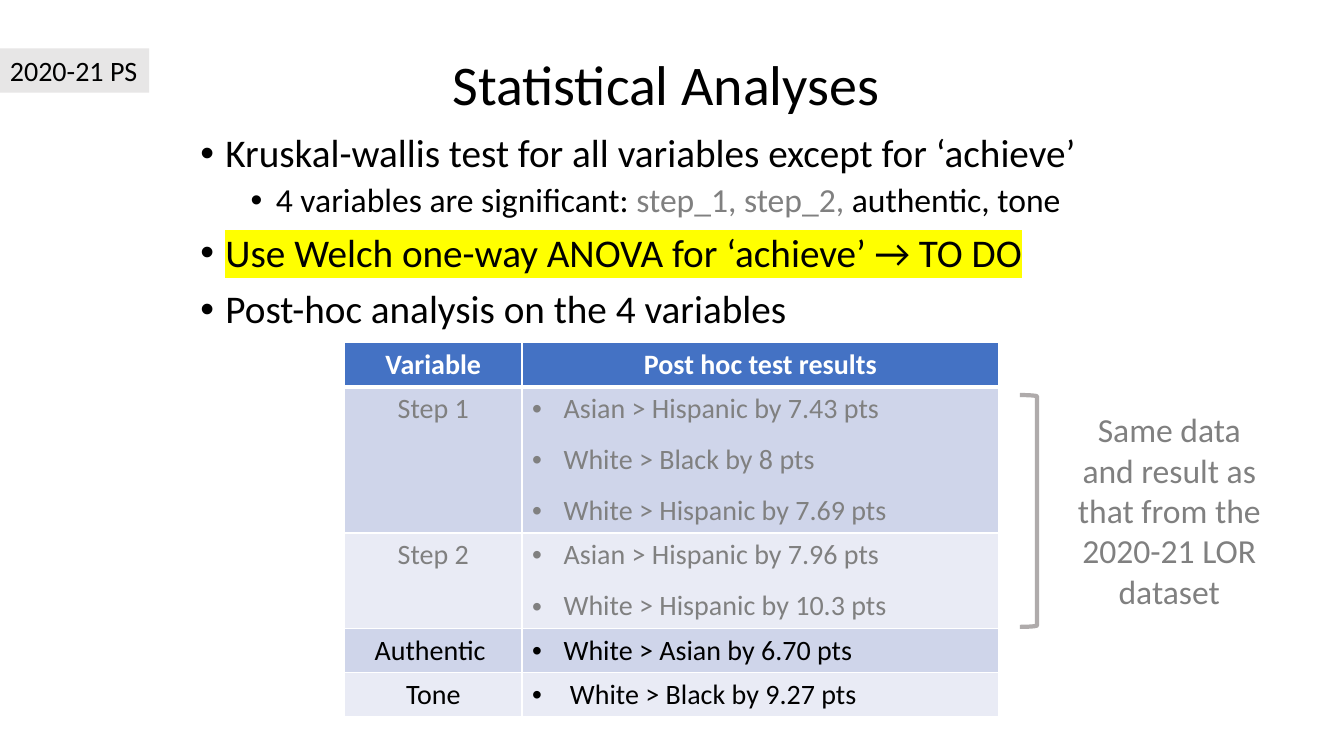
import pptx
import pptx.util
import pptx.dml.color
import pptx.enum.shapes
import pptx.enum.text
import pptx.oxml
import pptx.oxml.ns
from lxml import etree

Pt = pptx.util.Pt
qn = pptx.oxml.ns.qn
CENTER = pptx.enum.text.PP_ALIGN.CENTER
LEFT = pptx.enum.text.PP_ALIGN.LEFT

COLORS = {
    "text": "000000", "muted": "808080", "white": "FFFFFF", "mark": "FFFF00",
    "header": "4472C4", "band dark": "CFD5EA", "band light": "E9EBF5",
    "label": "E7E6E6", "bracket": "AFABAB",
}
TITLE = "Statistical Analyses "
LABEL = "2020-21 PS"
SIDE_NOTE = "Same data and result as that from the 2020-21 LOR dataset"

# level, then spans of (text, colour, highlight)
BULLETS = [
    (0, [("Kruskal-wallis test for all variables except for ‘achieve’", "text", None)]),
    (1, [("4 variables are significant: ", "text", None),
         ("step_1, step_2,", "muted", None),
         (" authentic, tone", "text", None)]),
    (0, [("Use Welch one-way ANOVA for ‘achieve’ → TO DO", "text", "mark")]),
    (0, [("Post-hoc analysis on the 4 variables", "text", None)]),
]
LEVELS = [  # size, left margin, space before
    (28, 18, 10),
    (24, 54, 5),
]
HEADER = ("Variable", "Post hoc test results")
# variable, results, colour, bullet indent, paragraph gap
RESULTS = [
    ("Step 1", ["Asian > Hispanic by 7.43 pts", "White > Black by 8 pts",
                "White > Hispanic by 7.69 pts"], "muted", 22.5, 6),
    ("Step 2", ["Asian > Hispanic by 7.96 pts", "White > Hispanic by 10.3 pts"],
     "muted", 22.5, 6),
    ("Authentic ", ["White > Asian by 6.70 pts"], "text", 22.5, 0),
    ("Tone", ["White > Black by 9.27 pts"], "text", 27, 0),
]
COLUMN_WIDTHS = (126.7, 340.6)
LINE_ROW = 31.6      # height of a row with one line
EXTRA_LINE = 36.4    # each further line with its gaps


def rgb(name):
    return pptx.dml.color.RGBColor.from_string(COLORS[name])


def box_at(left, top, width, height):
    return [Pt(value) for value in (left, top, width, height)]


def format_para(para, **values):
    for name, value in values.items():
        setattr(para, name, value)


def add_span(para, text, size, color="text", bold=False, highlight=None):
    span = para.add_run()
    span.text = text
    for name, value in {"size": Pt(size), "bold": bold, "name": "Calibri"}.items():
        setattr(span.font, name, value)
    span.font.color.rgb = rgb(color)
    if highlight:
        mark = etree.Element(qn("a:highlight"))
        etree.SubElement(mark, qn("a:srgbClr"), val=COLORS[highlight])
        span.font.fill  # the highlight must follow the fill
        span.font._element.find(qn("a:solidFill")).addnext(mark)


def add_bullet(para, margin, hang):
    """Call after spacing is set, so the bullet comes last."""
    props = para._p.get_or_add_pPr()
    props.set("marL", str(Pt(margin)))
    props.set("indent", str(-Pt(hang)))
    etree.SubElement(props, qn("a:buFont"), typeface="Arial")
    etree.SubElement(props, qn("a:buChar"), char="•")


def paragraphs(frame, count):
    return [frame.paragraphs[0]] + [frame.add_paragraph() for _ in range(count - 1)]


def style_cell(cell, color, bottom=1):
    props = cell._tc.get_or_add_tcPr()
    for side, width in (("L", 1), ("R", 1), ("T", 1), ("B", bottom)):
        line = etree.SubElement(props, qn(f"a:ln{side}"), w=str(Pt(width)))
        fill = etree.SubElement(line, qn("a:solidFill"))
        etree.SubElement(fill, qn("a:srgbClr"), val=COLORS["white"])
    cell.fill.solid()
    cell.fill.fore_color.rgb = rgb(color)


def add_text_box(page, place, wrap=True):
    box = page.shapes.add_textbox(*box_at(*place))
    box.text_frame.word_wrap = wrap
    return box


def add_title(page):
    title = page.shapes.title
    for name, value in zip(("left", "top", "width", "height"),
                           box_at(136, 34.6, 688.3, 56.2)):
        setattr(title, name, value)
    frame = title.text_frame
    frame.auto_size = pptx.enum.text.MSO_AUTO_SIZE.NONE
    frame.vertical_anchor = pptx.enum.text.MSO_ANCHOR.MIDDLE
    format_para(frame.paragraphs[0], alignment=CENTER, line_spacing=0.9)
    add_span(frame.paragraphs[0], TITLE, 40)


def add_body(page):
    frame = add_text_box(page, (136, 92.2, 688.3, 393.8)).text_frame
    for para, (level, spans) in zip(paragraphs(frame, len(BULLETS)), BULLETS):
        size, margin, before = LEVELS[level]
        format_para(para, level=level, alignment=LEFT, line_spacing=0.9,
                    space_before=Pt(before))
        add_bullet(para, margin, 18)
        for text, color, highlight in spans:
            add_span(para, text, size, color, highlight=highlight)


def add_results(page):
    heights = [LINE_ROW] + [LINE_ROW + EXTRA_LINE * (len(row[1]) - 1) for row in RESULTS]
    place = box_at(246.2, 244.8, sum(COLUMN_WIDTHS), sum(heights))
    table = page.shapes.add_table(len(heights), len(HEADER), *place).table
    for column, width in zip(table.columns, COLUMN_WIDTHS):
        column.width = Pt(width)
    for row, height in zip(table.rows, heights):
        row.height = Pt(height)

    for index, text in enumerate(HEADER):
        cell = table.cell(0, index)
        style_cell(cell, "header", bottom=3)
        para = cell.text_frame.paragraphs[0]
        para.alignment = CENTER
        add_span(para, text, 20, "white", bold=True)

    for index, (variable, results, color, indent, gap) in enumerate(RESULTS, 1):
        name_cell, result_cell = table.cell(index, 0), table.cell(index, 1)
        for cell in (name_cell, result_cell):
            style_cell(cell, "band dark" if index % 2 else "band light")
        para = name_cell.text_frame.paragraphs[0]
        para.alignment = CENTER
        add_span(para, variable, 20, color)
        for para, text in zip(paragraphs(result_cell.text_frame, len(results)), results):
            format_para(para, space_before=Pt(gap), space_after=Pt(gap))
            add_bullet(para, indent, indent)
            add_span(para, text, 20, color)


def add_label(page):
    label = add_text_box(page, (0, 34.6, 106.6, 31.5), wrap=False)
    label.fill.solid()
    label.fill.fore_color.rgb = rgb("label")
    add_span(label.text_frame.paragraphs[0], LABEL, 20)


def add_side_note(page):
    bracket = page.shapes.add_shape(pptx.enum.shapes.MSO_SHAPE.RIGHT_BRACKET,
                                    *box_at(728.6, 282.2, 12.2, 165.6))
    bracket.shadow.inherit = False
    bracket.fill.background()
    bracket.line.color.rgb = rgb("bracket")
    bracket.line.width = Pt(3)
    para = add_text_box(page, (756.7, 288.7, 157, 152.6)).text_frame.paragraphs[0]
    para.alignment = CENTER
    add_span(para, SIDE_NOTE, 24, "muted")


def main():
    deck = pptx.Presentation()
    deck.slide_width, deck.slide_height = Pt(960), Pt(540)
    page = deck.slides.add_slide(deck.slide_layouts[5])
    for add_part in (add_title, add_body, add_results, add_label, add_side_note):
        add_part(page)
    deck.save("out.pptx")


if __name__ == "__main__":
    main()
